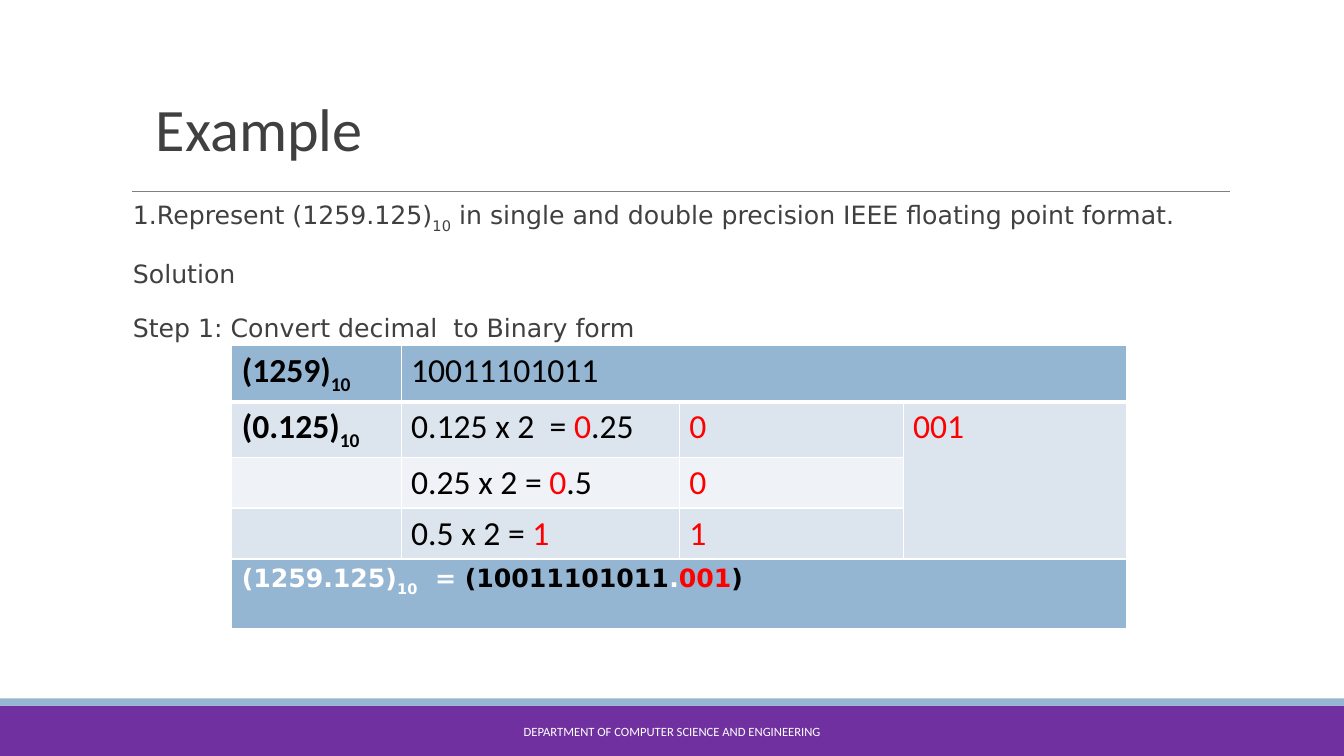
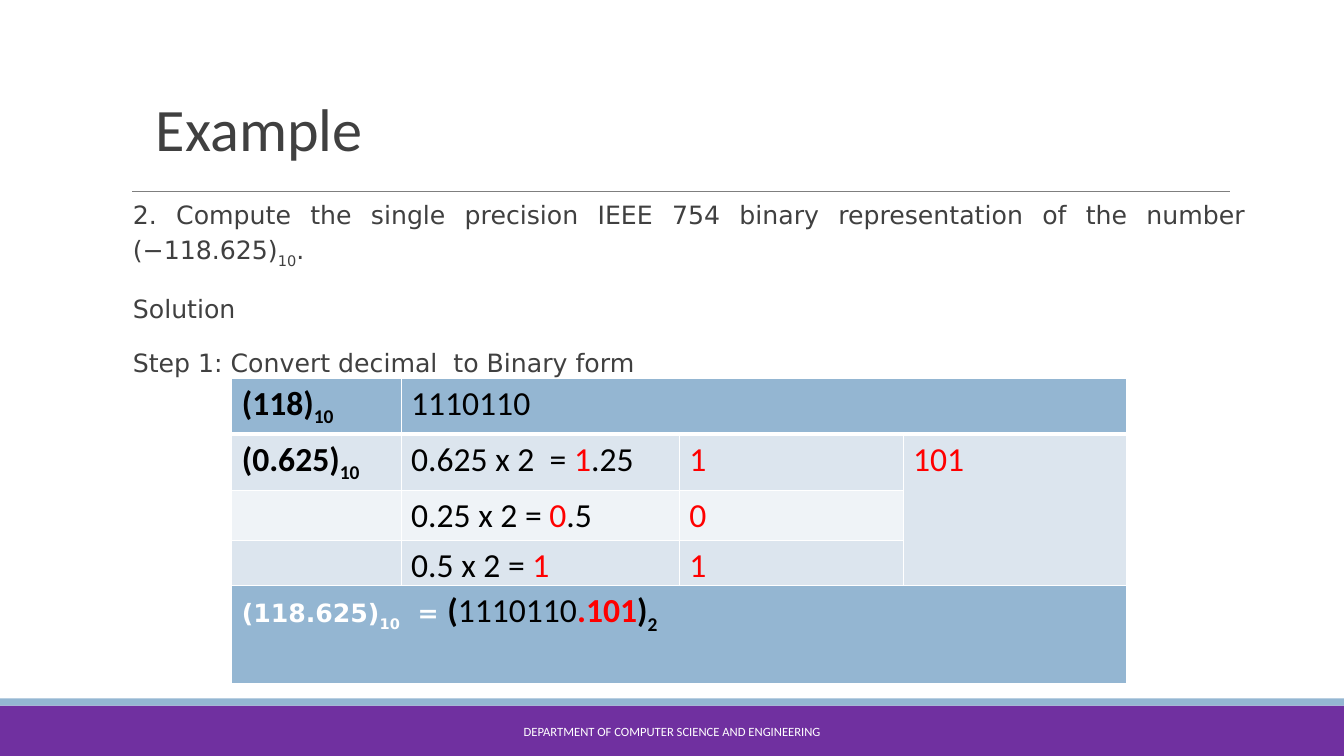
from lxml.etree import SubElement as Sub
from pptx import Presentation
from pptx.dml.color import RGBColor
from pptx.enum.shapes import MSO_CONNECTOR as Link, MSO_SHAPE as Form
from pptx.enum.text import MSO_ANCHOR as Anchor, PP_ALIGN as Align
from pptx.oxml.ns import qn
from pptx.util import Cm, Pt

WHITE = RGBColor(0xFF, 0xFF, 0xFF)
BLACK = RGBColor(0, 0, 0)
RED = RGBColor(0xFF, 0, 0)
DARK = RGBColor(0x40, 0x40, 0x40)
GREY = RGBColor(0x7F, 0x7F, 0x7F)
PURPLE = RGBColor(0x70, 0x30, 0xA0)
BLUE = RGBColor(0x94, 0xB6, 0xD2)
PALE = RGBColor(0xDC, 0xE5, 0xEE)
FAINT = RGBColor(0xEF, 0xF3, 0xF7)

HEAD = {"name": "Calibri", "size": Pt(43), "hue": DARK}
BODY = {"name": "DejaVu Sans", "size": Pt(18), "hue": DARK}
FOOT = {"name": "Calibri", "size": Pt(9), "hue": WHITE}
CELL = {"name": "Calibri", "size": Pt(24), "hue": BLACK}
SUM = {**BODY, "hue": WHITE, "bold": True}
SUB = {"base": "-25000"}
BOLD = {"bold": True}
HOT = {"hue": RED}
INK = {"hue": BLACK}
BIG = {**CELL, "bold": True}

WIDE, TALL = Cm(33.87), Cm(19.05)
BANDS = [(17.78, 1.27, PURPLE), (17.6, 0.18, BLUE)]
COLS = [4.27, 7.01, 5.64, 5.64]
LEFT, ROW = 5.84, 1.27
FILLS = [BLUE, PALE, FAINT, PALE]

SLIDES = [
    {
        "task": [("1.Represent (1259.125)", {}), ("10", SUB),
                 (" in single and double precision IEEE floating point format.", {})],
        "whole": ("(1259)", "10011101011"),
        "part": "(0.125)",
        "steps": [("0.125 x 2  = ", "0", ".25"), ("0.25 x 2 = ", "0", ".5"),
                  ("0.5 x 2 = ", "1", "")],
        "sum": [("(1259.125)", {}), ("10", SUB), ("  = ", {}), ("(10011101011", INK),
                (".", {}), ("001", HOT), (")", INK)],
        "tops": (8.71, 14.1),
        "deep": 1.78,
    },
    {
        "task": [("2. Compute the single precision IEEE 754 binary representation "
                  "of the number (−118.625)", {}), ("10", SUB), (".", {})],
        "whole": ("(118)", "1110110"),
        "part": "(0.625)",
        "steps": [("0.625 x 2  = ", "1", ".25"), ("0.25 x 2 = ", "0", ".5"),
                  ("0.5 x 2 = ", "1", "")],
        "sum": [("(118.625)", {}), ("10", SUB), ("  = ", {}), ("(", BIG),
                ("1110110", CELL | {"bold": False}), (".101", BIG | HOT),
                (")", BIG), ("2", BIG | SUB)],
        "tops": (9.53, 14.76),
        "deep": 2.49,
    },
]


def write(para, runs, look):
    for text, extra in runs:
        form = {**look, **extra}
        hue, base = form.pop("hue"), form.pop("base", None)
        run = para.add_run()
        run.text = text
        for key, val in form.items():
            setattr(run.font, key, val)
        run.font.color.rgb = hue
        if base:
            run._r.get_or_add_rPr().set("baseline", base)


def paint(cell, fill, top, low):
    props = cell._tc.get_or_add_tcPr()
    for side, width in {"L": 1, "R": 1, "T": top, "B": low}.items():
        edge = Sub(props, qn("a:ln" + side), w=str(Pt(width)))
        Sub(Sub(edge, qn("a:solidFill")), qn("a:srgbClr"), val=str(WHITE))
    cell.fill.solid()
    cell.fill.fore_color.rgb = fill


deck = Presentation()
deck.slide_width, deck.slide_height = WIDE, TALL

for data in SLIDES:
    shapes = deck.slides.add_slide(deck.slide_layouts[6]).shapes

    for top, high, fill in BANDS:
        band = shapes.add_shape(Form.RECTANGLE, 0, Cm(top), WIDE, Cm(high))
        band.shadow.inherit = False
        band.fill.solid()
        band.fill.fore_color.rgb = fill
        band.line.fill.background()

    rule = shapes.add_connector(Link.STRAIGHT, Cm(3.33), Cm(4.83), Cm(30.99), Cm(4.83))
    rule.line.color.rgb = GREY
    rule.line.width = Pt(0.75)
    Sub(rule._element.spPr, qn("a:effectLst"))

    texts = [
        ((3.68, 1.5, 25.2, 2.74), Anchor.BOTTOM, None, HEAD,
         {"line_spacing": 0.85}, [[("Example", {})]]),
        ((3.35, 4.78, 28.04, 4.8), Anchor.TOP, 0, BODY,
         {"line_spacing": 1.15, "alignment": Align.JUSTIFY},
         [data["task"], [("Solution", {})],
          [("Step 1: Convert decimal  to Binary form", {})]]),
        ((10.24, 17.93, 13.39, 1.02), Anchor.MIDDLE, None, FOOT,
         {"alignment": Align.CENTER},
         [[("DEPARTMENT OF COMPUTER SCIENCE AND ENGINEERING", {})]]),
    ]
    for place, anchor, inset, look, style, paras in texts:
        frame = shapes.add_textbox(*map(Cm, place)).text_frame
        frame.word_wrap = True
        frame.vertical_anchor = anchor
        if inset is not None:
            frame.margin_left = frame.margin_right = inset
        for num, runs in enumerate(paras):
            para = frame.add_paragraph() if num else frame.paragraphs[0]
            for key, val in style.items():
                setattr(para, key, val)
            if num:
                para.space_before = Pt(14)
            write(para, runs, look)

    bits = [bit for _, bit, _ in data["steps"]]
    name, code = data["whole"]
    work = {
        (0, 0): [(name, BOLD), ("10", BOLD | SUB)],
        (0, 1): [(code, {})],
        (1, 0): [(data["part"], BOLD), ("10", BOLD | SUB)],
        (1, 3): [("".join(bits), HOT)],
    }
    for row, (lead, bit, tail) in enumerate(data["steps"], 1):
        work[row, 1] = [(lead, {}), (bit, HOT)] + ([(tail, {})] if tail else [])
        work[row, 2] = [(bit, HOT)]

    grids = [
        (data["tops"][0], COLS, [ROW] * 4, FILLS, work, CELL),
        (data["tops"][1], [sum(COLS)], [data["deep"]], [BLUE], {(0, 0): data["sum"]}, SUM),
    ]
    for top, cols, rows, fills, cells, look in grids:
        size = len(rows), len(cols)
        grid = shapes.add_table(*size, Cm(LEFT), Cm(top), Cm(sum(cols)), Cm(sum(rows))).table
        grid.first_row = grid.horz_banding = False
        for col, width in zip(grid.columns, cols):
            col.width = Cm(width)
        for row, high in enumerate(rows):
            grid.rows[row].height = Cm(high)
            for col in range(len(cols)):
                hue = PALE if row and col == 3 else fills[row]
                paint(grid.cell(row, col), hue, 3 if row == 1 else 1, 1 if row else 3)
        if len(cols) > 1:
            grid.cell(0, 1).merge(grid.cell(0, 3))
            grid.cell(1, 3).merge(grid.cell(3, 3))
        for spot, runs in cells.items():
            write(grid.cell(*spot).text_frame.paragraphs[0], runs, look)

deck.save("out.pptx")
